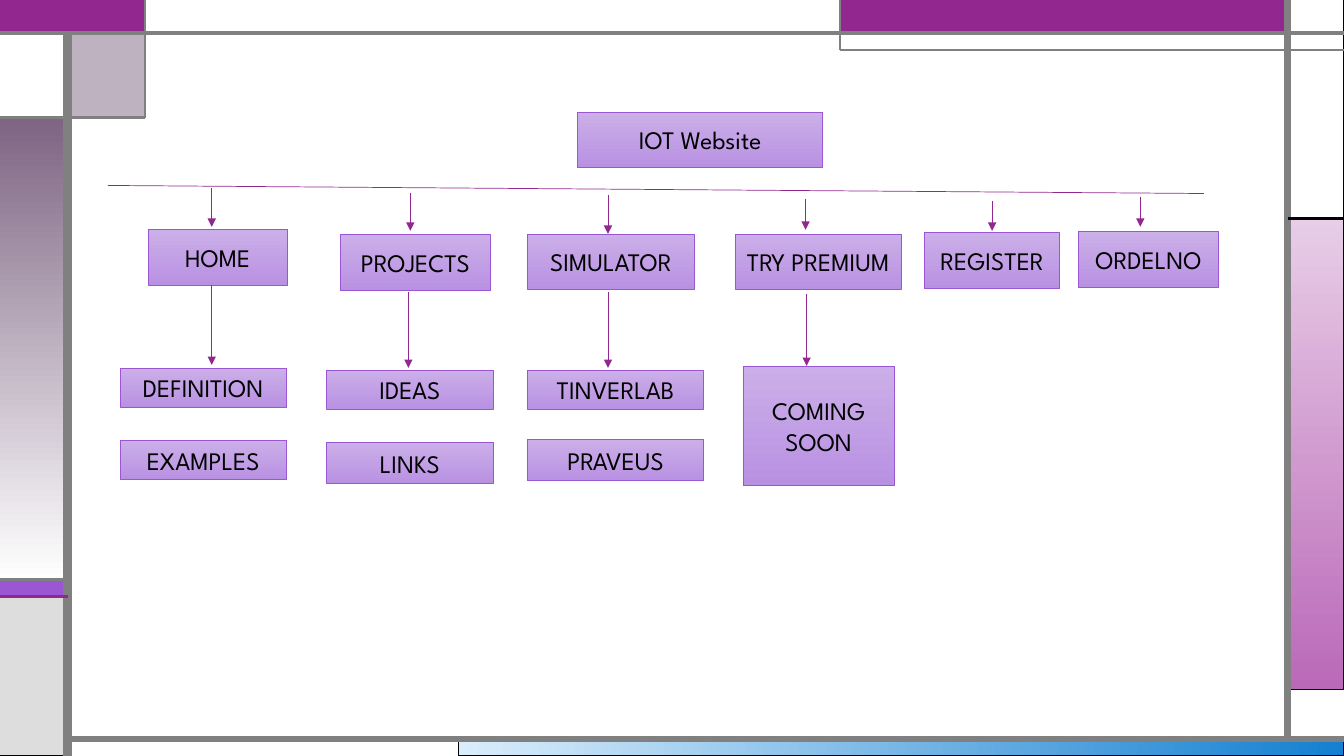
from dataclasses import dataclass

from lxml.etree import SubElement
from pptx import Presentation
from pptx.dml.color import RGBColor
from pptx.enum.shapes import MSO_CONNECTOR, MSO_SHAPE
from pptx.enum.text import MSO_ANCHOR, PP_ALIGN
from pptx.oxml.ns import qn
from pptx.util import Inches, Pt


@dataclass(frozen=True)
class Theme:
    font: str = "League Spartan"
    text_size: float = 18
    black: str = "000000"
    white: str = "FFFFFF"
    grey: str = "808080"
    light_grey: str = "DDDDDD"
    plum: str = "92278F"
    violet: str = "9B57D3"
    indigo: str = "755DD9"
    mauve: str = "7E6583"
    node: tuple = ("CBAFE8", "B991E3")
    pink: tuple = ("E8CDE7", "BA69B8")
    blue: tuple = ("DAEDFB", "1480D1")
    thin: float = 0.5
    edge: float = 0.75


@dataclass(frozen=True)
class Box:
    left: float
    top: float
    width: float
    height: float


@dataclass(frozen=True)
class Branch:
    """A heading with its arrow, and the child nodes below it.

    heading is (left, top, width); arrow and link are (x, start, end);
    column is (left, width); children are (label, top, height).
    """
    label: str
    heading: tuple
    arrow: tuple
    link: tuple = ()
    column: tuple = ()
    children: tuple = ()


T = Theme()
HEADING_HEIGHT = 0.55

BRANCHES = [
    Branch("HOME", (0.4, 1.17, 1.38), (1.03, 0.76, 1.14), (1.03, 1.72, 2.51),
           (0.12, 1.65), (("DEFINITION", 2.54, 0.39), ("EXAMPLES", 3.26, 0.39))),
    Branch("PROJECTS", (2.31, 1.22, 1.48), (3, 0.8, 1.18), (2.98, 1.79, 2.54),
           (2.17, 1.65), (("IDEAS", 2.56, 0.39), ("LINKS", 3.28, 0.41))),
    Branch("SIMULATOR", (4.16, 1.21, 1.66), (4.96, 0.82, 1.21), (4.96, 1.79, 2.54),
           (4.16, 1.75), (("TINVERLAB", 2.56, 0.39), ("PRAVEUS", 3.25, 0.41))),
    Branch("TRY PREMIUM", (6.22, 1.21, 1.65), (6.92, 0.86, 1.17), (6.93, 1.81, 2.52),
           (6.3, 1.5), (("COMING SOON", 2.52, 1.19),)),
    Branch("REGISTER", (8.1, 1.2, 1.34), (8.77, 0.88, 1.18)),
    Branch("ORDELNO", (9.63, 1.19, 1.38), (10.24, 0.84, 1.14)),
]


def rgb(color):
    return RGBColor.from_string(color)


def add_rect(s, box, left, top, width, height, fill, line=T.black, weight=T.edge, angle=270):
    """Add a rectangle placed within box; a pair of colours gives a gradient."""
    sp = s.shapes.add_shape(MSO_SHAPE.RECTANGLE, Inches(box.left + left),
                            Inches(box.top + top), Inches(width), Inches(height))
    sp.shadow.inherit = False
    if isinstance(fill, tuple):
        sp.fill.gradient()
        sp.fill.gradient_angle = angle
        for stop, color in zip(sp.fill.gradient_stops, fill):
            stop.color.rgb = rgb(color)
    else:
        sp.fill.solid()
        sp.fill.fore_color.rgb = rgb(fill)
    sp.line.color.rgb = rgb(line)
    sp.line.width = Pt(weight)
    return sp


def add_line(s, box, x1, y1, x2, y2, color=T.grey, weight=T.thin, arrow=False):
    cn = s.shapes.add_connector(
        MSO_CONNECTOR.STRAIGHT, Inches(box.left + x1), Inches(box.top + y1),
        Inches(box.left + x2), Inches(box.top + y2))
    cn.line.color.rgb = rgb(color)
    cn.line.width = Pt(weight)
    if arrow:
        SubElement(cn.line._get_or_add_ln(), qn("a:tailEnd"), type="triangle")
    SubElement(cn._element.spPr, qn("a:effectLst"))


def add_node(s, box, label, left, top, width, height):
    sp = add_rect(s, box, left, top, width, height, T.node, T.violet, T.thin)
    tf = sp.text_frame
    tf.word_wrap = True
    tf.vertical_anchor = MSO_ANCHOR.MIDDLE
    p = tf.paragraphs[0]
    p.text = label
    p.alignment = PP_ALIGN.CENTER
    p.font.name = T.font
    p.font.size = Pt(T.text_size)
    p.font.color.rgb = rgb(T.black)


def add_frame(s, box):
    """Draw the coloured panels and rules around the slide edge."""
    right, bottom = box.width, box.height
    rail, tab, banner, side = 0.67, 1.44, 8.33, 12.77
    bar, notch, side_top, stripe, base = 0.33, 1.17, 2.17, 5.75, 5.92
    floor = bottom - 0.17

    add_rect(s, box, banner - 3.78, floor, right - banner + 3.78, bottom - floor,
             T.blue, angle=0)
    add_rect(s, box, side, side_top, right - side, 4.67, T.pink)
    add_rect(s, box, 0, stripe, rail, base - stripe, T.violet)
    add_rect(s, box, 0, base, rail, bottom - base, T.light_grey)
    add_rect(s, box, side, 0, right - side, side_top, T.white)
    add_rect(s, box, banner, 0, side - banner, bar, T.plum, T.indigo)
    corner = add_rect(s, box, rail, bar, tab - rail, notch - bar, T.mauve)
    color = corner.fill._xPr.find(qn("a:solidFill"))[0]
    SubElement(color, qn("a:alpha"), val="50000")
    add_rect(s, box, 0, notch, rail, stripe - notch, (T.mauve, T.white))
    add_rect(s, box, 0, bar, rail, notch - bar, T.white)
    add_rect(s, box, 0, 0, tab, bar, T.plum, T.plum, 1.5)
    add_rect(s, box, tab, 0, banner - tab, bar, T.white, T.grey)

    for x1, y1, x2, y2, color, weight in [
        (rail, bottom, rail, bar, T.grey, 6),
        (rail, floor, right, floor, T.grey, 4.5),
        (side, floor, side, 0, T.grey, 4.5),
        (0, bar, right, bar, T.grey, 3),
        (right, 0.5, banner, 0.5, T.grey, 1.5),
        (banner, 0.5, banner, 0, T.grey, 1.5),
        (side, side_top, right, side_top, T.black, 2.25),
        (tab, 0, tab, notch, T.grey, 1.5),
        (tab, notch, 0, notch, T.grey, 2.25),
        (rail, stripe, 0, stripe, T.grey, 2.25),
        (rail, base, 0, base, T.plum, 2.25),
    ]:
        add_line(s, box, x1, y1, x2, y2, color, weight)


def add_branch(s, box, branch):
    add_node(s, box, branch.label, *branch.heading, HEADING_HEIGHT)
    for label, top, height in branch.children:
        left, width = branch.column
        add_node(s, box, label, left, top, width, height)
    for arrow in filter(None, (branch.arrow, branch.link)):
        x, start, end = arrow
        add_line(s, box, x, start, x, end, T.plum, arrow=True)


def add_sitemap(s, box):
    add_node(s, box, "IOT Website", 4.66, 0, 2.43, HEADING_HEIGHT)
    add_line(s, box, 0, 0.73, box.width, 0.81, T.plum)
    for branch in BRANCHES:
        add_branch(s, box, branch)


def main():
    prs = Presentation()
    prs.slide_width, prs.slide_height = Inches(13.33), Inches(7.5)
    s = prs.slides.add_slide(prs.slide_layouts[6])
    add_frame(s, Box(0, 0, 13.33, 7.5))
    add_sitemap(s, Box(1.07, 1.11, 10.87, 3.71))
    prs.save("out.pptx")


if __name__ == "__main__":
    main()
